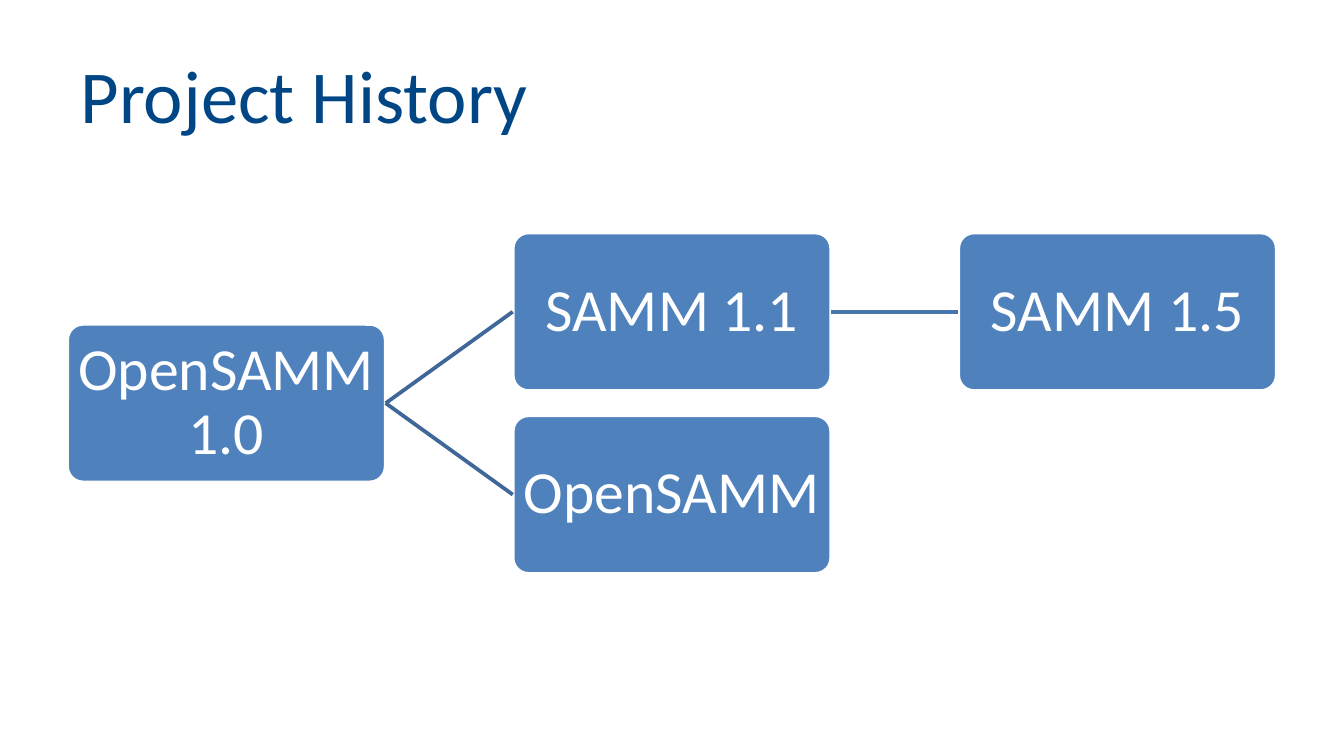
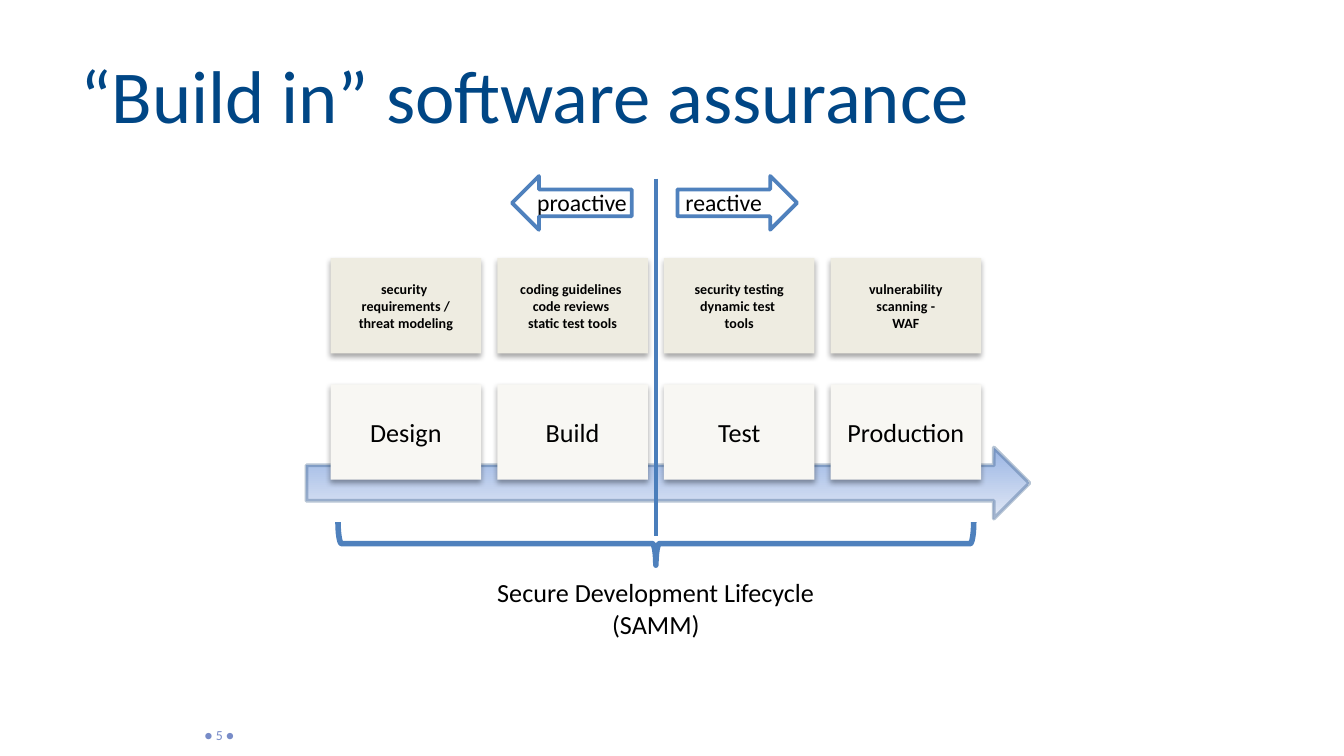
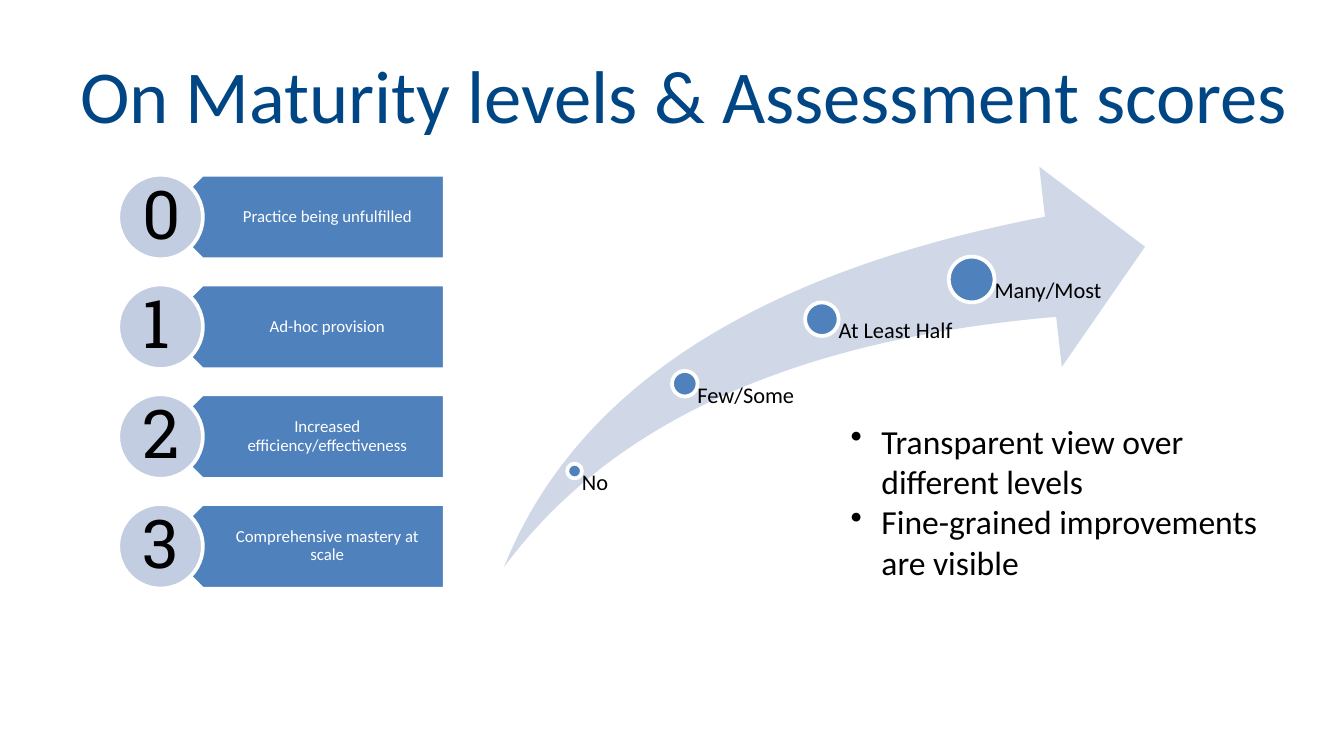
from dataclasses import dataclass

from lxml.etree import SubElement
from pptx import Presentation
from pptx.dml.color import RGBColor
from pptx.enum.shapes import MSO_CONNECTOR, MSO_SHAPE
from pptx.enum.text import MSO_ANCHOR, MSO_AUTO_SIZE, PP_ALIGN
from pptx.oxml.ns import qn
from pptx.util import Inches, Pt

CELL = Inches(0.1)
COLS, ROWS = 100, 56.25
NO_INSET = (0, 0, 0, 0)
NODE_INSET = (0.2, 0.2, 0.2, 0.2)
TIGHT_INSET = (0.7, 0.4, 0.7, 0.4)
BODY_INSET = (1, 0.5, 1, 0.5)


@dataclass(frozen=True)
class Theme:
    font: str = "Calibri"
    digit_font: str = "Roboto Slab"
    title: str = "004685"
    blue: str = "4F81BD"
    branch: str = "3F6797"
    link: str = "4875AC"
    divider: str = "4A7EBB"
    arrow_edge: str = "3A5F8C"
    arrow_top: str = "9AB5E4"
    arrow_bottom: str = "E1E8F5"
    stage: str = "F8F7F3"
    practice: str = "EEECE1"
    circle: str = "C2CDE1"
    swoosh: str = "D0D8E8"
    footer: str = "788CC8"
    white: str = "FFFFFF"
    black: str = "000000"
    title_size: float = 40
    digit_size: float = 36
    node_size: float = 32
    body_size: float = 18
    stage_size: float = 14
    label_size: float = 12.7
    milestone_size: float = 12
    level_size: float = 9
    practice_size: float = 7.5
    footer_size: float = 7.4


T = Theme()


@dataclass(frozen=True)
class Box:
    x: float
    y: float
    w: float
    h: float

    def sub(self, dx, dy, w, h):
        return Box(self.x + dx, self.y + dy, w, h)

    def emu(self):
        return [round(v * CELL) for v in (self.x, self.y, self.w, self.h)]


def rgb(color):
    return RGBColor.from_string(color)


def write(tf, paragraphs, size, color=T.black, font=T.font, bold=False,
          align=PP_ALIGN.LEFT, anchor=MSO_ANCHOR.TOP, inset=TIGHT_INSET, spacing=None):
    tf.word_wrap = True
    tf.vertical_anchor = anchor
    tf.margin_left, tf.margin_top, tf.margin_right, tf.margin_bottom = (
        round(v * CELL) for v in inset)
    for i, text in enumerate(paragraphs):
        p = tf.add_paragraph() if i else tf.paragraphs[0]
        p.alignment = align
        if spacing:
            p.line_spacing = spacing
        for j, line in enumerate(text.split("\n")):
            if j:
                p.add_line_break()
            r = p.add_run()
            r.text = line
            r.font.name, r.font.size, r.font.bold = font, Pt(size), bold
            r.font.color.rgb = rgb(color)


def add_text(slide, box, paragraphs, size, wrap=True, grow=False, **style):
    tf = slide.shapes.add_textbox(*box.emu()).text_frame
    write(tf, paragraphs, size, **style)
    tf.word_wrap = wrap
    if grow:
        tf.auto_size = MSO_AUTO_SIZE.SHAPE_TO_FIT_TEXT
    return tf


def add_shape(slide, kind, box, fill=None, line=None, width=2, rotation=0):
    s = slide.shapes.add_shape(kind, *box.emu())
    s.shadow.inherit = False
    s.rotation = rotation
    if fill:
        s.fill.solid()
        s.fill.fore_color.rgb = rgb(fill)
    else:
        s.fill.background()
    if line:
        s.line.color.rgb = rgb(line)
        s.line.width = Pt(width)
    else:
        s.line.fill.background()
    return s


def add_line(slide, x1, y1, x2, y2, color, width):
    c = slide.shapes.add_connector(
        MSO_CONNECTOR.STRAIGHT, *(round(v * CELL) for v in (x1, y1, x2, y2)))
    c.line.color.rgb = rgb(color)
    c.line.width = Pt(width)
    SubElement(c._element.spPr, qn("a:effectLst"))
    return c


def set_alpha(color_el, percent):
    SubElement(color_el, qn("a:alpha"), val=str(percent * 1000))


def add_soft_shadow(s):
    effects = s._element.spPr.find(qn("a:effectLst"))
    shadow = SubElement(effects, qn("a:outerShdw"), blurRad=str(Pt(3.1)),
                        dist=str(Pt(1.8)), dir="5400000", rotWithShape="0")
    set_alpha(SubElement(shadow, qn("a:srgbClr"), val=T.black), 35)


def add_bullets(tf):
    for p in tf.paragraphs:
        pPr = p._p.get_or_add_pPr()
        pPr.set("marL", str(Inches(0.23)))
        pPr.set("indent", str(-Inches(0.23)))
        SubElement(pPr, qn("a:buChar"), char="•")


def new_slide(prs, title, width=90):
    slide = prs.slides.add_slide(prs.slide_layouts[5])
    s = slide.shapes.title
    s.left, s.top, s.width, s.height = Box(5, 2.3, width, 9.4).emu()
    write(s.text_frame, [title], T.title_size, T.title,
          anchor=MSO_ANCHOR.MIDDLE, inset=BODY_INSET)
    s.text_frame.auto_size = MSO_AUTO_SIZE.NONE
    return slide


def place_history(slide, box):
    w, h = 23.7, 11.8
    col, row = (box.w - w) / 2, box.h - h
    versions = [("OpenSAMM 1.0", 0, 0.5), ("SAMM 1.1", 1, 0),
                ("SAMM 1.5", 2, 0), ("OpenSAMM", 1, 1)]
    nodes = {}
    for name, i, j in versions:
        s = add_shape(slide, MSO_SHAPE.ROUNDED_RECTANGLE,
                      box.sub(i * col, j * row, w, h), T.blue, T.white)
        s.adjustments[0] = 0.1
        write(s.text_frame, [name], T.node_size, T.white, align=PP_ALIGN.CENTER,
              anchor=MSO_ANCHOR.MIDDLE, inset=NODE_INSET, spacing=0.9)
        nodes[name] = s
    for start, end, color in [("OpenSAMM 1.0", "SAMM 1.1", T.branch),
                              ("SAMM 1.1", "SAMM 1.5", T.link),
                              ("OpenSAMM 1.0", "OpenSAMM", T.branch)]:
        c = add_line(slide, 0, 0, 1, 1, color, 2)
        c.begin_connect(nodes[start], 3)
        c.end_connect(nodes[end], 1)


def place_timeline(slide, box):
    s = add_shape(slide, MSO_SHAPE.RIGHT_ARROW, box.sub(0, 20.2, box.w, 5.3),
                  line=T.arrow_edge)
    s.fill.gradient()
    s.fill.gradient_angle = 270
    for stop, color in zip(s.fill.gradient_stops, (T.arrow_top, T.arrow_bottom)):
        stop.color.rgb = rgb(color)
    set_alpha(s.line._ln.find(".//" + qn("a:srgbClr")), 37)


def place_cards(slide, box):
    stages = [
        ("Design", ["security ", "requirements /", "threat modeling"]),
        ("Build", ["coding guidelines \ncode reviews \nstatic test tools"]),
        ("Test", ["security testing\ndynamic test ", "tools"]),
        ("Production", ["vulnerability", "scanning -", "WAF"]),
    ]
    for i, (stage, practices) in enumerate(stages):
        for dy, fill, text, size, bold in [
                (9.4, T.stage, [stage], T.stage_size, False),
                (0, T.practice, practices, T.practice_size, True)]:
            s = add_shape(slide, MSO_SHAPE.RECTANGLE,
                          box.sub(i * 12.4, dy, 11.2, 7.1), fill)
            add_soft_shadow(s)
            write(s.text_frame, text, size, bold=bold, align=PP_ALIGN.CENTER,
                  anchor=MSO_ANCHOR.MIDDLE)


def place_directions(slide, box):
    for label, arrow_x, rotation, text_x, text_w in [
            ("reactive", 12.3, 0, 12.1, 7.3), ("proactive", 0, 180, 1.1, 8.2)]:
        add_shape(slide, MSO_SHAPE.RIGHT_ARROW, box.sub(arrow_x, 0, 8.9, box.h),
                  line=T.blue, rotation=rotation)
        add_text(slide, box.sub(text_x, 0.5, text_w, 2.9), [label], T.label_size,
                 wrap=False, grow=True, align=PP_ALIGN.CENTER)


def place_lifecycle(slide, box):
    middle = box.x + 26
    place_timeline(slide, box)
    place_cards(slide, box.sub(1.8, 6.1, 48.4, 16.5))
    add_line(slide, middle, box.y + 0.2, middle, box.y + 26.8, T.divider, 2.25)
    place_directions(slide, box.sub(15.3, 0, 21.2, 4))
    add_shape(slide, MSO_SHAPE.RIGHT_BRACE, box.sub(24.4, 3.7, 3.2, 47.3),
              line=T.blue, width=3, rotation=90)
    add_text(slide, box.sub(11.6, 29.4, 28.8, 5.5),
             ["Secure Development Lifecycle", "(SAMM)"], T.stage_size,
             grow=True, align=PP_ALIGN.CENTER)


def place_levels(slide, box):
    d = 6.3
    pitch = (box.h - d) / 3
    levels = ["Practice being unfulfilled", "Ad-hoc provision",
              "Increased efficiency/effectiveness", "Comprehensive mastery at scale"]
    for i, level in enumerate(levels):
        y = i * pitch
        add_shape(slide, MSO_SHAPE.PENTAGON, box.sub(3.1, y, box.w - 3.1, d),
                  T.blue, T.white, rotation=180)
        add_text(slide, box.sub(4.7, y, box.w - 4.7, d), [level], T.level_size,
                 color=T.white, align=PP_ALIGN.CENTER, anchor=MSO_ANCHOR.MIDDLE,
                 inset=(2.8, 0.4, 0.7, 0.4), spacing=0.9)
        add_shape(slide, MSO_SHAPE.OVAL, box.sub(0, y, d, d), T.circle, T.white)
        add_text(slide, box.sub(0.8, y - 0.7, 5.1, 7.1), [str(i)], T.digit_size,
                 wrap=False, grow=True, font=T.digit_font, inset=BODY_INSET)


def place_growth(slide, box):
    s = add_shape(slide, MSO_SHAPE.SWOOSH_ARROW, box, T.swoosh)
    s.adjustments[0] = s.adjustments[1] = 0.25
    for label, x, y, d in [("No", 4.7, 22.1, 1.1), ("Few/Some", 12.5, 15.2, 1.9),
                           ("At Least Half", 22.4, 10.1, 2.5),
                           ("Many/Most", 33.1, 6.7, 3.4)]:
        radius = d / 2
        add_shape(slide, MSO_SHAPE.OVAL, box.sub(x, y, d, d), T.blue, T.white)
        add_text(slide, box.sub(x + radius, y + radius, 10, box.h - y - radius),
                 [label], T.milestone_size, inset=(radius, 0, 0, 0), spacing=0.9)


def history_slide(prs):
    slide = new_slide(prs, "Project History")
    place_history(slide, Box(5, 17.3, 90, 25.4))


def assurance_slide(prs):
    slide = new_slide(prs, "“Build in” software assurance")
    place_lifecycle(slide, Box(22.8, 13.1, 53.8, 34.9))
    add_text(slide, Box(14.5, 53.7, 32.5, 2), ["● 5 ●"], T.footer_size,
             color=T.footer, grow=True)


def maturity_slide(prs):
    slide = new_slide(prs, "On Maturity levels & Assessment scores", 92.1)
    place_levels(slide, Box(8.8, 13, 24.3, 30.8))
    place_growth(slide, Box(37.5, 12.4, 47.7, 29.8))
    tf = add_text(slide, Box(62.3, 30.8, 33.9, 13.1),
                  ["Transparent view over different levels",
                   "Fine-grained improvements are visible"],
                  T.body_size, grow=True, inset=BODY_INSET)
    add_bullets(tf)


def main():
    prs = Presentation()
    prs.slide_width, prs.slide_height = round(COLS * CELL), round(ROWS * CELL)
    history_slide(prs)
    assurance_slide(prs)
    maturity_slide(prs)
    prs.save("out.pptx")


if __name__ == "__main__":
    main()
